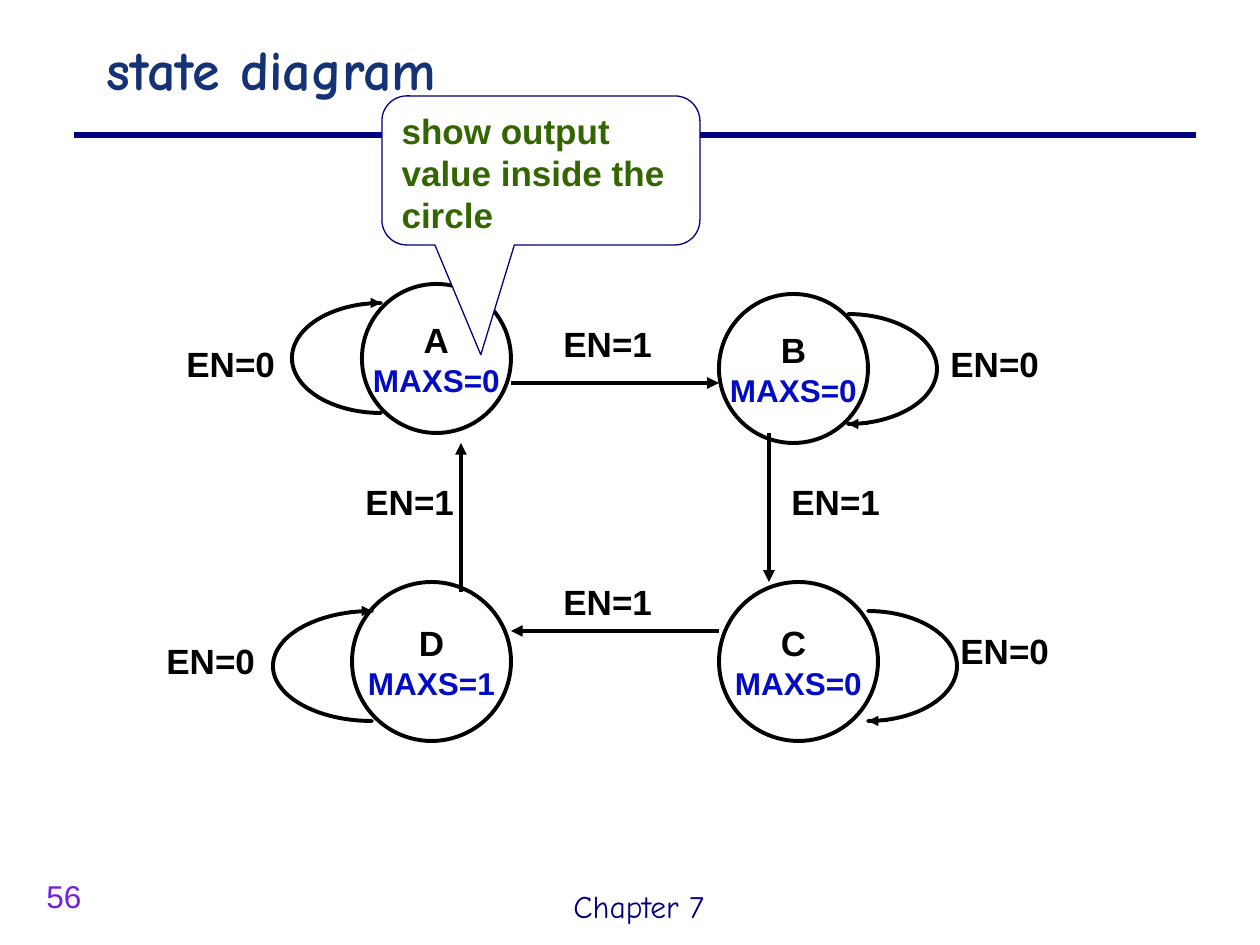
from lxml import etree
from pptx import Presentation
from pptx import util as u
from pptx.dml.color import RGBColor
from pptx.enum import shapes, text
from pptx.oxml.ns import qn

PX = 914400 // 126
BLACK, NAVY, WHITE = "000000", "000080", "FFFFFF"
BODY, HAND = "Arial", "Comic Neue"
SHAPE = shapes.MSO_SHAPE


def emu(*lengths):
    return [u.Emu(length * PX) for length in lengths]


def paint(target, color):
    """Give a fill or a line one solid colour."""
    target.solid()
    target.fore_color.rgb = RGBColor.from_string(color)


def add_span(para, words, size, color, bold=True, font=BODY):
    span = para.add_run()
    span.text = words
    span.font.size, span.font.bold, span.font.name = u.Pt(size), bold, font
    span.font.color.rgb = RGBColor.from_string(color)


def add_label(page, box, words, size=20, color=BLACK, bold=True, font=BODY):
    frame = page.shapes.add_textbox(*emu(*box)).text_frame
    frame.word_wrap = True
    add_span(frame.paragraphs[0], words, size, color, bold, font)


def add_outline(parent, kind, box, fill=None, line=BLACK, width=2.25):
    shape = parent.shapes.add_shape(kind, *emu(*box))
    shape.shadow.inherit = False
    if fill:
        paint(shape.fill, fill)
    else:
        shape.fill.background()
    paint(shape.line.fill, line)
    shape.line.width = u.Pt(width)
    return shape


def add_line(parent, start, end, color=BLACK, width=2.25, arrow=True):
    line = parent.shapes.add_connector(
        shapes.MSO_CONNECTOR.STRAIGHT, *emu(*start, *end))
    paint(line.line.fill, color)
    line.line.width = u.Pt(width)
    properties = line.element.spPr
    if arrow:
        etree.SubElement(properties.find(qn("a:ln")), qn("a:tailEnd"), type="triangle")
    etree.SubElement(properties, qn("a:effectLst"))


def add_state(page, left, top, size, name, output):
    circle = add_outline(page, SHAPE.OVAL, (left, top, size, size))
    frame = circle.text_frame
    frame.word_wrap = False
    frame.vertical_anchor = text.MSO_ANCHOR.MIDDLE
    para = frame.paragraphs[0]
    para.alignment = text.PP_ALIGN.CENTER
    add_span(para, name, 20, BLACK)
    para.add_line_break()
    add_span(para, output, 18, "020BC6")


def add_loop(page, box, on_right):
    """Half-ellipse from a state back to itself, ending in an arrowhead."""
    left, top, width, height = box
    group = page.shapes.add_group_shape()
    arc = add_outline(group, SHAPE.MOON, box, "B4D7EB")
    arc.adjustments[0] = 0
    tip = round(width * 0.22)
    if on_right:
        arc.rotation = 180
        bottom = top + height
        add_line(group, (left + tip, bottom), (left, bottom), width=0.75)
    else:
        right = left + width
        add_line(group, (right - tip, top), (right, top), width=0.75)


def add_callout(page, box, words):
    callout = add_outline(page, SHAPE.ROUNDED_RECTANGULAR_CALLOUT, box, WHITE, NAVY, 0.75)
    for index, value in enumerate((-0.189, 1.237, 0.167)):
        callout.adjustments[index] = value
    frame = callout.text_frame
    frame.word_wrap = True
    frame.vertical_anchor = text.MSO_ANCHOR.TOP
    para = frame.paragraphs[0]
    para.alignment = text.PP_ALIGN.LEFT
    add_span(para, words, 20, "336600")


def add_frame(page):
    """Rule under the title, footer and page number."""
    add_line(page, (74, 135), (1196, 135), NAVY, 3, arrow=False)
    add_label(page, (561, 881, 179, 50), "Chapter 7", 18, NAVY, False, HAND)
    add_label(page, (34, 871, 89, 50), "56", 18, "6F20E4", False)


def add_diagram(page):
    states = [
        (362, 284, 149, "A", "MAXS=0"), (352, 582, 159, "D", "MAXS=1"),
        (719, 582, 159, "C ", "MAXS=0"), (719, 294, 149, "B", "MAXS=0"),
    ]
    transitions = [
        ((511, 383), (719, 383), (551, 316)), ((769, 433), (769, 582), (779, 474)),
        ((719, 631), (511, 631), (551, 574)), ((461, 592), (461, 443), (353, 474)),
    ]
    loops = [
        ((292, 303, 89, 110), False, (174, 336)), ((273, 611, 99, 110), False, (154, 633)),
        ((848, 314, 89, 110), True, (938, 336)), ((868, 611, 89, 110), True, (948, 623)),
    ]
    label_size = (128, 54)
    for state in states:
        add_state(page, *state)
    for start, end, corner in transitions:
        add_line(page, start, end)
        add_label(page, corner + label_size, "EN=1")
    for box, on_right, corner in loops:
        add_loop(page, box, on_right)
        add_label(page, corner + label_size, "EN=0")


def main():
    deck = Presentation()
    deck.slide_width, deck.slide_height = emu(1260, 945)
    page = deck.slides.add_slide(deck.slide_layouts[6])
    paint(page.background.fill, WHITE)
    add_frame(page)
    add_diagram(page)
    add_callout(page, (382, 96, 318, 149), "show output value inside the circle")
    add_label(page, (94, 28, 1101, 99), "state diagram", 32, "153276", True, HAND)
    deck.save("out.pptx")


if __name__ == "__main__":
    main()
